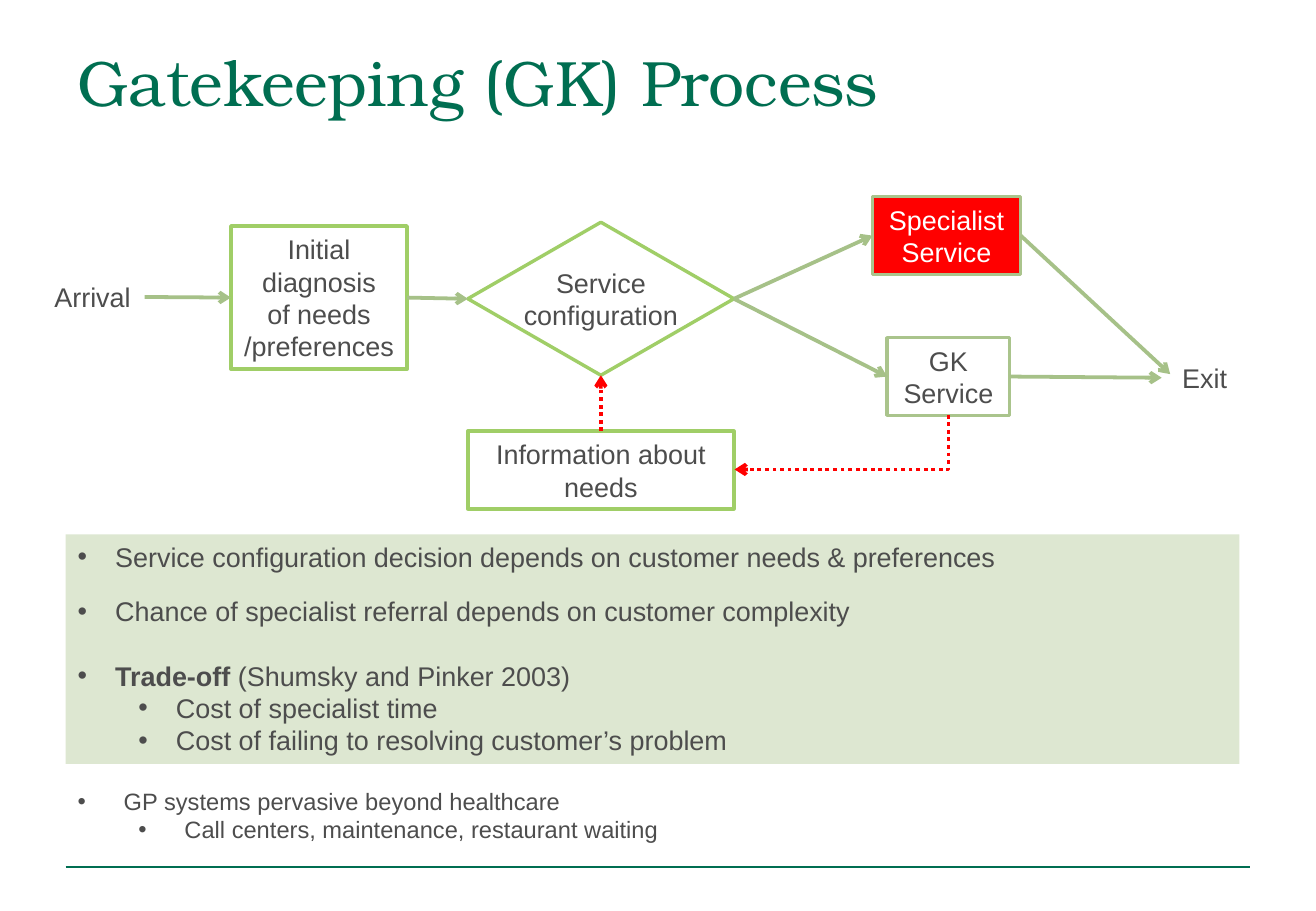
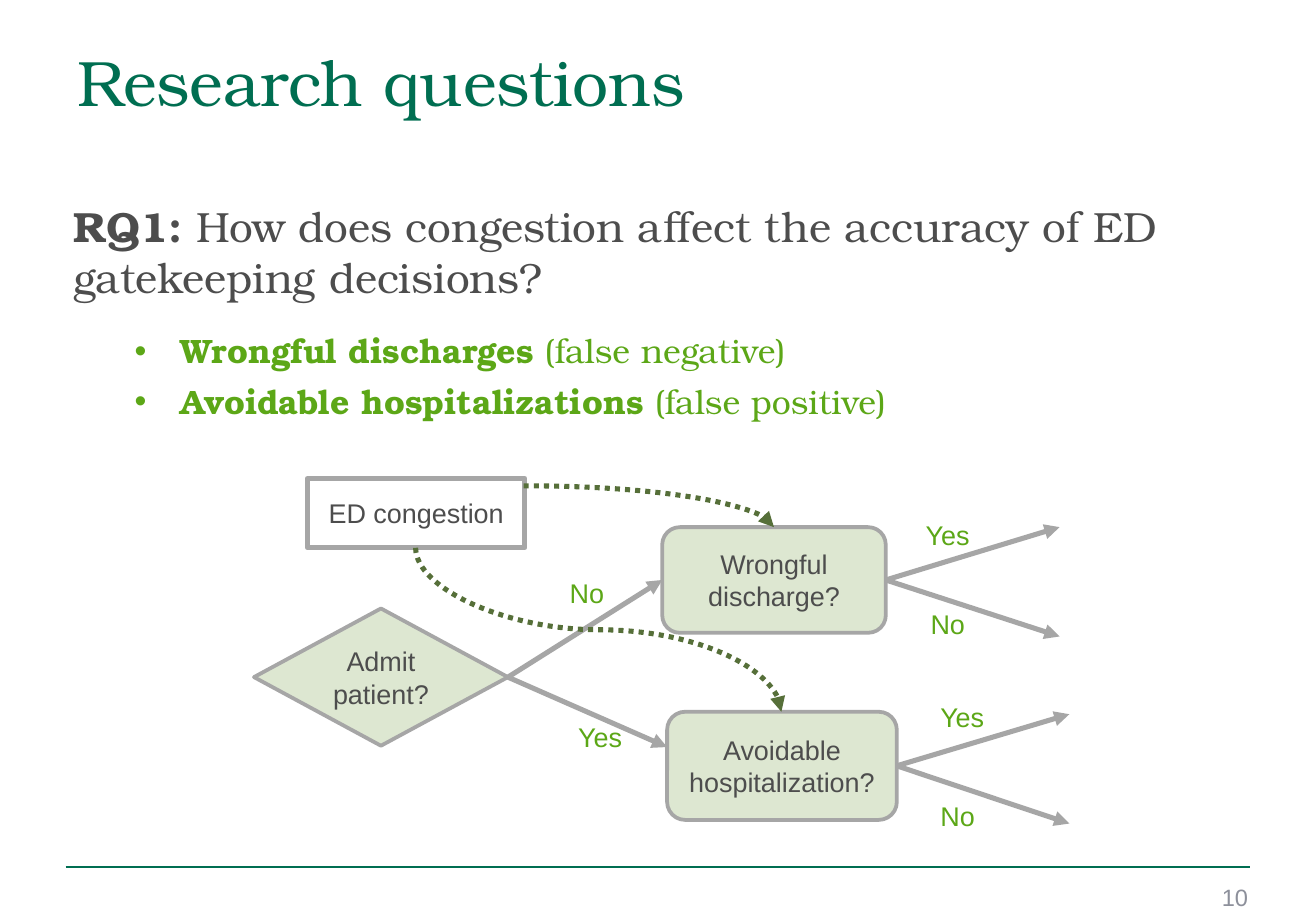
from dataclasses import dataclass
from typing import Optional

from lxml.etree import SubElement
from pptx import Presentation
from pptx.dml.color import RGBColor
from pptx.enum.dml import MSO_LINE
from pptx.enum.shapes import MSO_CONNECTOR as Link, MSO_SHAPE as Preset
from pptx.enum.text import MSO_ANCHOR as Anchor, PP_ALIGN as Align
from pptx.oxml.ns import qn
from pptx.util import Inches, Pt

BODY_FONT, TITLE_FONT = "Arial", "TeX Gyre Bonum"
DARK_GREEN, TEXT_GREY, PALE_GREEN = "006E51", "4D4D4D", "DDE7D1"
LIME, SAGE, ARROW_GREEN = "A0CE67", "AAC48C", "A6C188"
RED, WHITE, GREY, NUMBER_GREY = "FF0000", "FFFFFF", "A6A6A6", "8D909B"
LABEL_GREEN, CURVE_GREEN = "5CA717", "566F39"
TOP, LEFT, BOTTOM, RIGHT = range(4)


@dataclass
class Span:
    text: str
    bold: bool = False


@dataclass
class Para:
    spans: list[Span]
    margin: float = 0
    hanging: float = 0
    after: float = 0
    size: Optional[float] = None
    color: Optional[str] = None


@dataclass
class Node:
    name: str
    lines: list[str]
    left: float
    top: float
    width: float
    height: float
    preset: Preset = Preset.RECTANGLE
    fill: Optional[str] = None
    line: str = GREY
    weight: float = 2.25
    color: str = TEXT_GREY
    wrap: bool = True


@dataclass
class Label:
    text: str
    left: float
    top: float
    width: float
    color: str = LABEL_GREEN


@dataclass
class Arrow:
    start: tuple
    end: tuple
    color: str = GREY
    weight: float = 3
    head: str = "triangle"
    dotted: bool = False
    link: Link = Link.STRAIGHT


@dataclass
class Bend:
    arrow: Arrow
    preset: str
    rotation: int = 0


def rgb(color: str) -> RGBColor:
    return RGBColor.from_string(color)


def bullet(para, margin: float, hanging: float) -> None:
    props = para._p.get_or_add_pPr()
    props.set("marL", str(Inches(margin)))
    props.set("indent", str(-Inches(hanging)))
    SubElement(props, qn("a:buFont"), typeface=BODY_FONT)
    SubElement(props, qn("a:buChar"), char="•")


def write(box, content: list, size: float = 16, color: str = TEXT_GREY, font: str = BODY_FONT,
          align: Align = Align.LEFT, anchor: Anchor = Anchor.TOP, wrap: bool = True) -> None:
    frame = box.text_frame
    frame.word_wrap = wrap
    frame.vertical_anchor = anchor
    for index, item in enumerate(content):
        if isinstance(item, str):
            item = Para([Span(item)])
        para = frame.add_paragraph() if index else frame.paragraphs[0]
        if item.hanging:
            bullet(para, item.margin, item.hanging)
        para.alignment = align
        para.space_after = Pt(item.after)
        for span in item.spans:
            run = para.add_run()
            run.text = span.text
            run.font.name = font
            run.font.size = Pt(item.size or size)
            run.font.bold = span.bold
            run.font.color.rgb = rgb(item.color or color)


def add_text(page, left: float, top: float, width: float, height: float, content: list, **style):
    box = page.shapes.add_textbox(Inches(left), Inches(top), Inches(width), Inches(height))
    write(box, content, **style)
    return box


def add_box(page, preset: Preset, left: float, top: float, width: float, height: float,
            fill: Optional[str] = None, line: Optional[str] = None, weight: float = 2):
    box = page.shapes.add_shape(preset, Inches(left), Inches(top), Inches(width), Inches(height))
    box.shadow.inherit = False
    if fill:
        box.fill.solid()
        box.fill.fore_color.rgb = rgb(fill)
    else:
        box.fill.background()
    if line:
        box.line.color.rgb = rgb(line)
        box.line.width = Pt(weight)
    else:
        box.line.fill.background()
    return box


def add_node(page, node: Node):
    box = add_box(page, node.preset, node.left, node.top, node.width, node.height,
                  node.fill, node.line, node.weight)
    write(box, node.lines, color=node.color, align=Align.CENTER, anchor=Anchor.MIDDLE,
          wrap=node.wrap)
    return box


def add_label(page, label: Label):
    return add_text(page, label.left, label.top, label.width, 0.37, [label.text],
                    color=label.color, wrap=False)


def add_arrow(page, arrow: Arrow, boxes: dict):
    joins = [isinstance(point[0], str) for point in (arrow.start, arrow.end)]
    start, end = [(0, 0) if joined else point
                  for joined, point in zip(joins, (arrow.start, arrow.end))]
    line = page.shapes.add_connector(arrow.link, *map(Inches, start), *map(Inches, end))
    if joins[0]:
        line.begin_connect(boxes[arrow.start[0]], arrow.start[1])
    if joins[1]:
        line.end_connect(boxes[arrow.end[0]], arrow.end[1])
    line.line.color.rgb = rgb(arrow.color)
    line.line.width = Pt(arrow.weight)
    if arrow.dotted:
        line.line.dash_style = MSO_LINE.ROUND_DOT
    props = line.element.spPr
    if arrow.head:
        SubElement(props.find(qn("a:ln")), qn("a:tailEnd"), type=arrow.head)
    SubElement(props, qn("a:effectLst"))
    return line


def add_bend(page, bend: Bend) -> None:
    props = add_arrow(page, bend.arrow, {}).element.spPr
    props.find(qn("a:prstGeom")).set("prst", bend.preset)
    props.find(qn("a:xfrm")).set("rot", str(bend.rotation * 60000))


def add_page(deck, title: str):
    page = deck.slides.add_slide(deck.slide_layouts[6])
    add_arrow(page, Arrow((0.54, 7.14), (10.29, 7.14), DARK_GREEN, 1, head=""), {})
    add_text(page, 0.54, 0.3, 7.95, 1.25, [title], size=38, color=DARK_GREEN, font=TITLE_FONT)
    return page


def add_flow(page, nodes: list[Node], labels: list[Label], arrows: list[Arrow],
             bends: list[Bend]) -> None:
    boxes = {node.name: add_node(page, node) for node in nodes}
    for label in labels:
        boxes[label.text] = add_label(page, label)
    for arrow in arrows:
        add_arrow(page, arrow, boxes)
    for bend in bends:
        add_bend(page, bend)


def process_page(deck) -> None:
    page = add_page(deck, "Gatekeeping (GK) Process")
    nodes = [
        Node("specialist", ["Specialist", "Service"], 7.18, 1.62, 1.22, 0.64,
             fill=RED, line=SAGE, weight=2, color=WHITE, wrap=False),
        Node("diagnosis", ["Initial", "diagnosis", "of needs", "/preferences"],
             1.9, 1.86, 1.45, 1.18, line=LIME, weight=2, wrap=False),
        Node("information", ["Information about needs"], 3.85, 3.55, 2.19, 0.64,
             line=LIME, weight=2),
        Node("configuration", ["Service", "configuration"], 3.85, 1.83, 2.19, 1.26,
             Preset.FLOWCHART_DECISION, line=LIME, weight=2, wrap=False),
        Node("gatekeeper", ["GK", "Service"], 7.3, 2.78, 1.01, 0.64,
             line=SAGE, weight=2, wrap=False),
    ]
    labels = [Label("Arrival", 0.35, 2.26, 0.84, TEXT_GREY),
              Label("Exit", 9.63, 2.93, 0.58, TEXT_GREY)]
    steps = [
        (("Arrival", RIGHT), ("diagnosis", LEFT)),
        (("diagnosis", RIGHT), ("configuration", LEFT)),
        (("configuration", RIGHT), ("specialist", LEFT)),
        (("configuration", RIGHT), ("gatekeeper", LEFT)),
        (("specialist", RIGHT), (9.63, 3.08)),
        (("gatekeeper", RIGHT), (9.56, 3.11)),
    ]
    arrows = [Arrow(start, end, ARROW_GREEN, 2.25, "arrow") for start, end in steps]
    arrows.append(Arrow(("information", TOP), ("configuration", BOTTOM), RED, 2.25, "arrow", True))
    feedback = Arrow((6.7, 2.76), (7.15, 4.52), RED, 2.25, "arrow", True, Link.ELBOW)
    add_flow(page, nodes, labels, arrows, [Bend(feedback, "bentConnector2", 90)])

    panel = add_box(page, Preset.RECTANGLE, 0.54, 4.4, 9.66, 1.89, fill=PALE_GREEN)
    write(panel, [
        Para([Span("Service configuration decision depends on customer needs & preferences")],
             0.31, 0.31, after=13),
        Para([Span("Chance of specialist referral depends on customer complexity")],
             0.31, 0.31, after=19),
        Para([Span("Trade-off", True), Span(" (Shumsky and Pinker 2003)")], 0.31, 0.31),
        Para([Span("Cost of specialist time")], 0.81, 0.31),
        Para([Span("Cost of failing to resolving customer’s problem")], 0.81, 0.31),
    ])
    add_text(page, 0.54, 6.43, 10.24, 0.57, [
        Para([Span("GP systems pervasive beyond healthcare")], 0.38, 0.38),
        Para([Span("Call centers, maintenance, restaurant waiting")], 0.88, 0.38),
    ], size=14)


def questions_page(deck) -> None:
    page = add_page(deck, "Research questions")
    add_text(page, 9.9, 7.22, 0.47, 0.22, ["10"], size=14, color=NUMBER_GREY, align=Align.RIGHT)
    findings = [("Wrongful discharges", " (false negative)"),
                ("Avoidable hospitalizations", " (false positive)")]
    question = Para([Span("RQ1:", True),
                     Span(" How does congestion affect the accuracy of ED gatekeeping decisions?")],
                    after=17, size=25)
    add_text(page, 0.51, 1.6, 10.03, 1.94, [question] + [
        Para([Span(name, True), Span(kind)], 0.88, 0.38, after=6, color=LABEL_GREEN)
        for name, kind in findings
    ], size=20, font=TITLE_FONT)

    nodes = [
        Node("discharge", ["Wrongful discharge?"], 5.45, 4.34, 1.84, 0.87,
             Preset.ROUNDED_RECTANGLE, PALE_GREEN),
        Node("hospitalization", ["Avoidable hospitalization?"], 5.49, 5.86, 1.89, 0.89,
             Preset.ROUNDED_RECTANGLE, PALE_GREEN),
        Node("congestion", ["ED congestion"], 2.53, 3.94, 1.79, 0.57, weight=3),
        Node("admit", ["Admit patient?"], 2.09, 5.01, 2.09, 1.13, Preset.DIAMOND, PALE_GREEN),
    ]
    labels = [
        Label("No", 4.59, 4.7, 0.49), Label("Yes", 4.66, 5.88, 0.57),
        Label("Yes", 7.52, 4.22, 0.57), Label("No", 7.56, 4.95, 0.49),
        Label("Yes", 7.64, 5.72, 0.57), Label("No", 7.64, 6.53, 0.49),
    ]
    arrows = [Arrow(("admit", RIGHT), ("discharge", LEFT)),
              Arrow(("admit", RIGHT), (5.49, 6.15))]
    for name, x, middle in [("discharge", 8.72, 4.79), ("hospitalization", 8.8, 6.33)]:
        arrows += [Arrow((name, RIGHT), (x, middle + rise)) for rise in (-0.45, 0.45)]
    curves = [
        Bend(Arrow((5.6, 3.68), (4.25, 6.69), CURVE_GREEN, dotted=True, link=Link.CURVE),
             "curvedConnector3", 270),
        Bend(Arrow((4.31, 4), (6.37, 4.34), CURVE_GREEN, dotted=True, link=Link.CURVE),
             "curvedConnector2"),
    ]
    add_flow(page, nodes, labels, arrows, curves)


def main() -> None:
    deck = Presentation()
    deck.slide_width, deck.slide_height = Inches(10.83), Inches(7.5)
    process_page(deck)
    questions_page(deck)
    deck.save("out.pptx")


if __name__ == "__main__":
    main()
